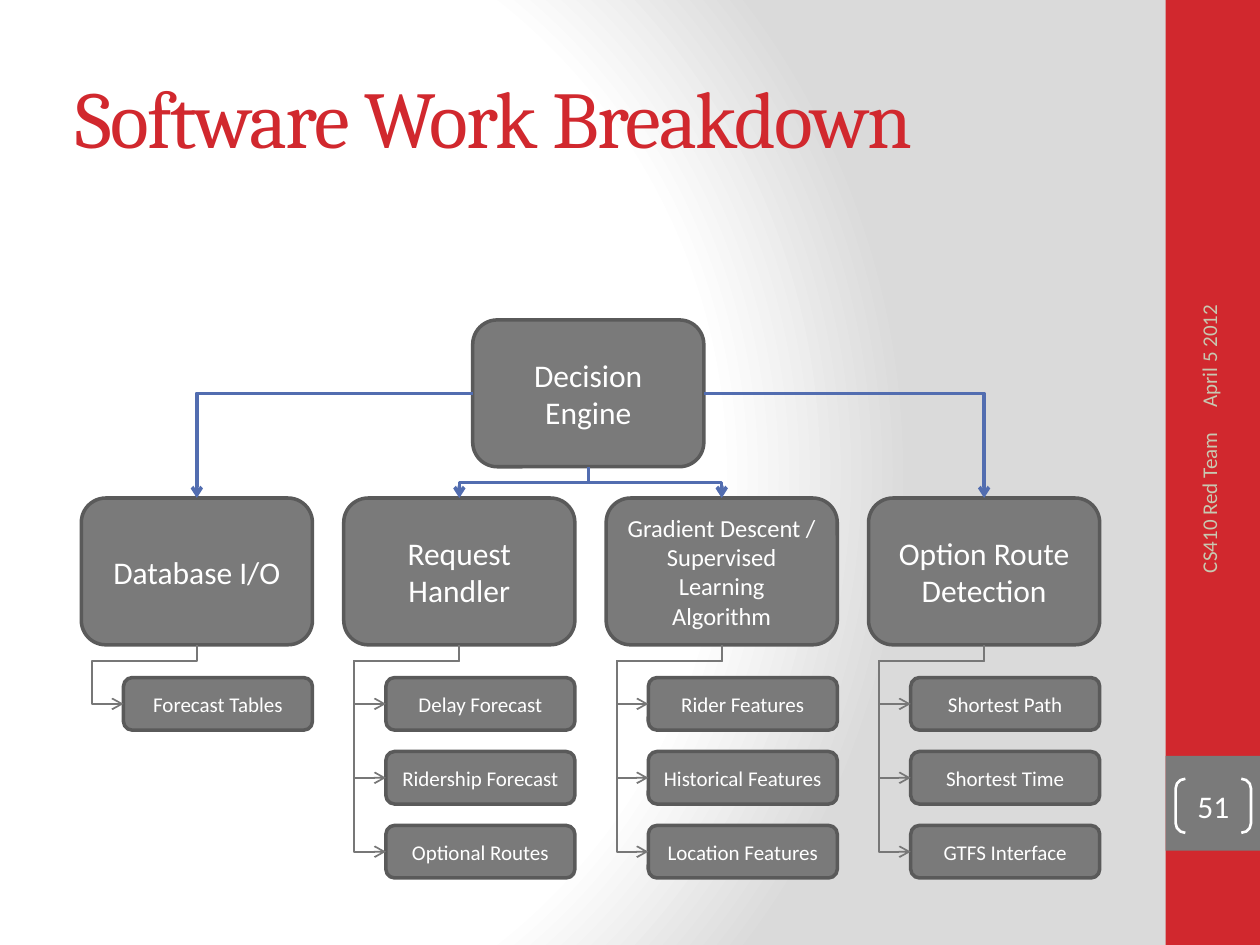
from lxml import etree
from pptx import Presentation
from pptx.dml.color import RGBColor
from pptx.enum.shapes import MSO_CONNECTOR as Link, MSO_SHAPE as Shape
from pptx.enum.text import MSO_ANCHOR as Anchor, PP_ALIGN as Align
from pptx.oxml import parse_xml
from pptx.oxml.ns import nsdecls, qn
from pptx.util import Cm, Pt

RED = RGBColor(0xD1, 0x28, 0x2E)
GRAY = RGBColor(0x7A, 0x7A, 0x7A)
EDGE = RGBColor(0x5A, 0x5A, 0x5A)
BLUE = RGBColor(0x52, 0x6D, 0xB0)
BRANCH = RGBColor(0x77, 0x77, 0x77)
SAND = RGBColor(0xC8, 0xC8, 0xB1)
WHITE = RGBColor(0xFF, 0xFF, 0xFF)

BOX_W, BOX_H = 4.66, 2.96
ENGINE_LEFT, ENGINE_TOP = 9.53, 6.45
MODULE_LEFT, MODULE_TOP, MODULE_STEP = 1.64, 10.04, 5.29
TASK_W, TASK_H = 3.81, 1.06
TASK_TOP, TASK_STEP = 13.66, 1.49
TASK_INDENT = BOX_W - TASK_W
DROP, OVERHANG = 0.33, 0.64

MODULES = [
    ("Database I/O", 18, ["Forecast Tables"]),
    ("Request Handler", 18,
     ["Delay Forecast", "Ridership Forecast", "Optional Routes"]),
    ("Gradient Descent / Supervised Learning\nAlgorithm", 14,
     ["Rider Features", "Historical Features", "Location Features"]),
    ("Option Route Detection", 18,
     ["Shortest Path", "Shortest Time", "GTFS Interface"]),
]


def write(frame, text, size, color, align, font="Calibri"):
    frame.word_wrap = True
    frame.vertical_anchor = Anchor.MIDDLE
    paragraph = frame.paragraphs[0]
    paragraph.alignment = align
    for number, line in enumerate(text.split("\n")):
        if number:
            paragraph.add_line_break()
        run = paragraph.add_run()
        run.text = line
        run.font.name = font
        run.font.size = Pt(size)
        run.font.color.rgb = color
    return run


def link(preset, start, end, color, width, adjustments=(), turned=False):
    (x1, y1), (x2, y2) = start, end
    rotation = 0
    if turned:
        rotation = 90 if x2 < x1 else 270
        mid_x, mid_y = (x1 + x2) / 2, (y1 + y2) / 2
        half_w, half_h = (y2 - y1) / 2, abs(x2 - x1) / 2
        side = 1 if x2 < x1 else -1
        x1, x2 = mid_x - side * half_w, mid_x + side * half_w
        y1, y2 = mid_y - half_h, mid_y + half_h
    connector = slide.shapes.add_connector(
        Link.ELBOW, Cm(x1), Cm(y1), Cm(x2), Cm(y2))
    connector.line.color.rgb = color
    connector.line.width = Pt(width)
    properties = connector._element.spPr
    if rotation:
        properties.find(qn("a:xfrm")).set("rot", str(rotation * 60000))
    geometry = properties.find(qn("a:prstGeom"))
    geometry.set("prst", preset)
    for number, value in enumerate(adjustments, 1):
        etree.SubElement(geometry.find(qn("a:avLst")), qn("a:gd"),
                         name=f"adj{number}", fmla=f"val {round(value * 100000)}")
    etree.SubElement(properties.find(qn("a:ln")), qn("a:tailEnd"), type="arrow")
    etree.SubElement(properties, qn("a:effectLst"))


prs = Presentation()
prs.slide_width, prs.slide_height = Cm(25.4), Cm(19.05)
slide = prs.slides.add_slide(prs.slide_layouts[5])

backdrop = slide.background.fill
backdrop.gradient()
gradient = slide._element.cSld.find(".//" + qn("a:gradFill"))
gradient.getparent().replace(gradient, parse_xml(
    f'<a:gradFill {nsdecls("a")} rotWithShape="1"><a:gsLst>'
    '<a:gs pos="0"><a:srgbClr val="FFFFFF"/></a:gs>'
    '<a:gs pos="75000"><a:srgbClr val="FFFFFF"/></a:gs>'
    '<a:gs pos="100000"><a:srgbClr val="DADADA"/></a:gs></a:gsLst>'
    '<a:path path="circle">'
    '<a:fillToRect l="20000" t="50000" r="100000" b="50000"/>'
    '</a:path></a:gradFill>'))

for top, height, color in [(0, 19.05, RED), (15.24, 1.91, GRAY)]:
    band = slide.shapes.add_shape(
        Shape.RECTANGLE, Cm(23.5), Cm(top), Cm(1.9), Cm(height))
    band.shadow.inherit = False
    band.fill.solid()
    band.fill.fore_color.rgb = color
    band.line.fill.background()

title = slide.shapes.title
title.left, title.top, title.width, title.height = Cm(1.27), Cm(0.76), Cm(21.16), Cm(3.18)
heading = write(title.text_frame, "Software Work Breakdown", 46, RED, Align.LEFT, "Cambria")
heading.font._element.set("spc", "-100")

for text, left, top, width, align in [
    ("April 5 2012", 20.98, 4.57, 6.78, Align.LEFT),
    ("CS410 Red Team", 21.08, 11.25, 6.58, Align.RIGHT),
]:
    footer = slide.shapes.add_textbox(Cm(left), Cm(top), Cm(width), Cm(1.02))
    footer.rotation = 270
    write(footer.text_frame, text, 12, SAND, align)

page = slide.shapes.add_shape(
    Shape.DOUBLE_BRACKET, Cm(23.7), Cm(15.7), Cm(1.52), Cm(1.09))
page.adjustments[0] = 0.18
page.shadow.inherit = False
page.fill.background()
page.line.color.rgb = WHITE
page.line.width = Pt(1.5)
page_frame = page.text_frame
page_frame.margin_left = page_frame.margin_right = Cm(0)
page_frame.margin_top = page_frame.margin_bottom = Cm(0)
write(page_frame, "51", 18, WHITE, Align.CENTER)

boxes = [("Decision Engine", 18, ENGINE_LEFT, ENGINE_TOP, BOX_W, BOX_H)]
for column, (module, size, tasks) in enumerate(MODULES):
    left = MODULE_LEFT + column * MODULE_STEP
    boxes.append((module, size, left, MODULE_TOP, BOX_W, BOX_H))
    for row, task in enumerate(tasks):
        boxes.append((task, 12, left + TASK_INDENT, TASK_TOP + row * TASK_STEP,
                      TASK_W, TASK_H))

for text, size, left, top, width, height in boxes:
    box = slide.shapes.add_shape(
        Shape.ROUNDED_RECTANGLE, Cm(left), Cm(top), Cm(width), Cm(height))
    box.shadow.inherit = False
    box.fill.solid()
    box.fill.fore_color.rgb = GRAY
    box.line.color.rgb = EDGE
    box.line.width = Pt(2)
    write(box.text_frame, text, size, WHITE, Align.CENTER)

engine_middle = ENGINE_TOP + BOX_H / 2
engine_bottom = (ENGINE_LEFT + BOX_W / 2, ENGINE_TOP + BOX_H)
for column, (module, size, tasks) in enumerate(MODULES):
    left = MODULE_LEFT + column * MODULE_STEP
    center = left + BOX_W / 2
    module_top = (center, MODULE_TOP)
    if column == 0:
        link("bentConnector2", (ENGINE_LEFT, engine_middle), module_top, BLUE, 2)
    elif column == len(MODULES) - 1:
        link("bentConnector2", (ENGINE_LEFT + BOX_W, engine_middle), module_top, BLUE, 2)
    else:
        link("bentConnector3", engine_bottom, module_top, BLUE, 2, turned=True)

    module_bottom = (center, MODULE_TOP + BOX_H)
    task_left = left + TASK_INDENT
    for row in range(len(tasks)):
        task_side = (task_left, TASK_TOP + row * TASK_STEP + TASK_H / 2)
        fall = task_side[1] - module_bottom[1]
        reach = center - task_left
        link("bentConnector4", module_bottom, task_side, BRANCH, 1,
             (DROP / fall, 1 + OVERHANG / reach), turned=True)

prs.save("out.pptx")
